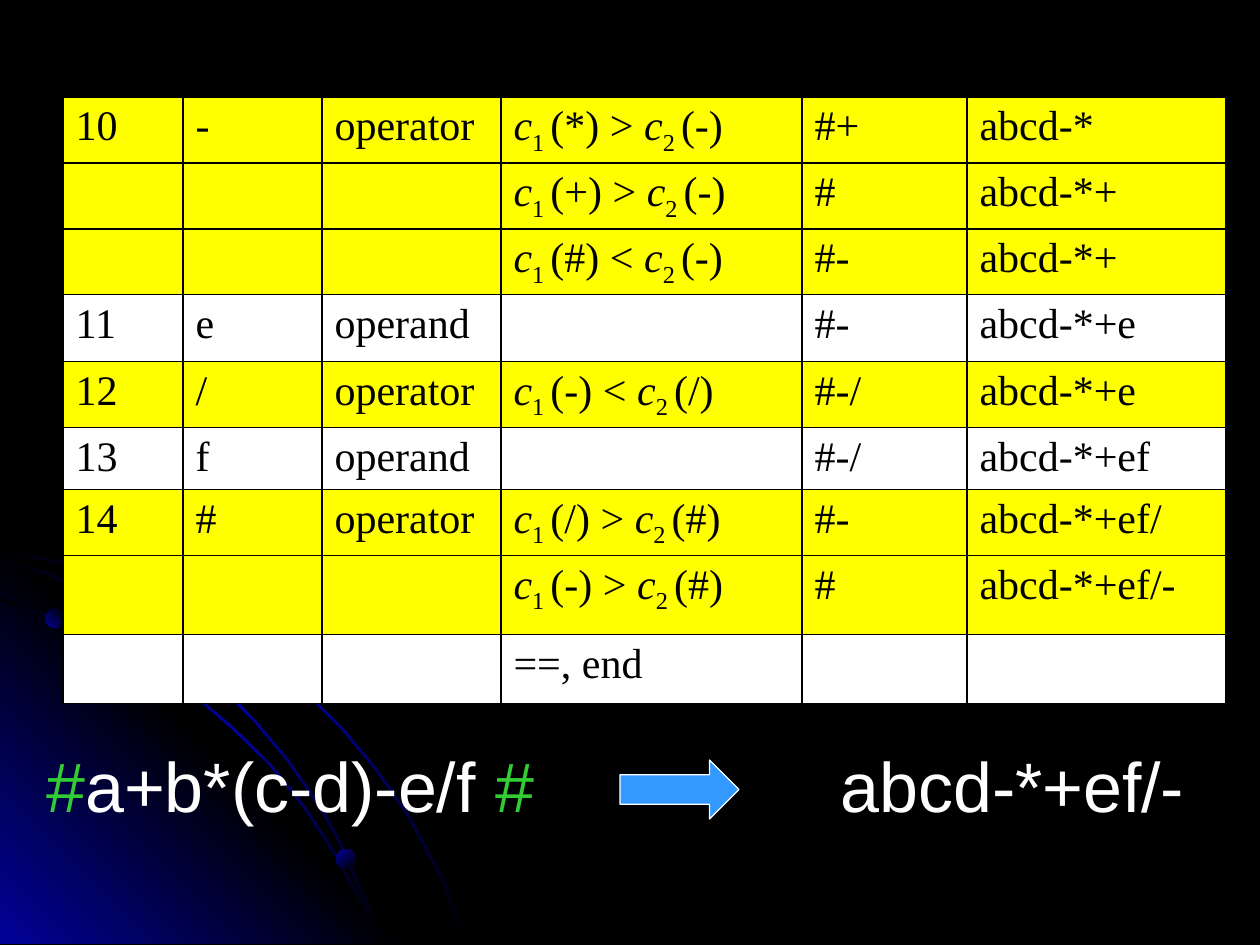
from dataclasses import dataclass

from lxml.etree import SubElement
from pptx import Presentation
from pptx.dml.color import RGBColor
from pptx.enum.shapes import MSO_SHAPE as Shape
from pptx.oxml import parse_xml
from pptx.oxml.ns import nsdecls, qn
from pptx.util import Pt

SCALE = 914400 / 126


@dataclass(frozen=True)
class Theme:
    black: str = "000000"
    white: str = "FFFFFF"
    glow: str = "010199"
    operator: str = "FFFF00"
    marker: str = "33CC33"
    arrow: str = "3399FF"
    table_font: str = "Times New Roman"
    body_font: str = "Arial"
    table_size: int = 24
    body_size: int = 40


THEME = Theme()

# Outer edges of the three light bands, from the left side to the bottom
BANDS = [
    [(0, 548), (35, 556), (72, 563), (123, 578), (171, 601), (219, 626),
     (263, 656), (305, 690), (343, 728), (378, 770), (410, 816), (427, 848),
     (444, 879), (456, 911), (469, 944)],
    [(0, 598), (52, 615), (100, 636), (147, 663), (192, 692), (232, 726),
     (271, 764), (305, 806), (335, 852), (360, 897), (373, 920), (382, 944)],
    [(0, 557), (49, 573), (96, 596), (140, 621), (181, 650), (220, 684),
     (257, 722), (289, 760), (320, 805), (339, 838), (355, 873), (370, 907),
     (382, 944)],
]
# Left, top, diameter, gradient angle
DOTS = [(45, 609, 19, 315), (336, 849, 20, 45)]

COLUMNS = [120, 139, 179, 301, 165, 259]
ROW_HEIGHTS = [66, 66, 65, 67, 66, 62, 66, 79, 69]
# Step, symbol, kind, comparison (c1, sign, c2), stack, output
STEPS = [
    ("10", "-", "operator", ("*", ">", "-"), "#+", "abcd-*"),
    ("", "", "", ("+", ">", "-"), "#", "abcd-*+"),
    ("", "", "", ("#", "<", "-"), "#-", "abcd-*+"),
    ("11", "e", "operand", "", "#-", "abcd-*+e"),
    ("12", "/", "operator", ("-", "<", "/"), "#-/", "abcd-*+e"),
    ("13", "f", "operand", "", "#-/", "abcd-*+ef"),
    ("14", "#", "operator", ("/", ">", "#"), "#-", "abcd-*+ef/"),
    ("", "", "", ("-", ">", "#"), "#", "abcd-*+ef/-"),
    ("", "", "", "==, end", "", ""),
]


def px(length):
    return round(length * SCALE)


def rgb(colour):
    return RGBColor.from_string(colour)


def style(font, name, size, colour):
    font.name, font.size = name, Pt(size)
    font.color.rgb = rgb(colour)


def glow_fill(shape, colours, angle):
    """Fill with evenly spaced gradient colours, without line or shadow."""
    shape.shadow.inherit = False
    shape.line.fill.background()
    shape.fill.background()
    stops = "".join(
        f'<a:gs pos="{100000 * i // (len(colours) - 1)}"><a:srgbClr val="{c}"/></a:gs>'
        for i, c in enumerate(colours))
    gradient = parse_xml(
        f'<a:gradFill {nsdecls("a")} rotWithShape="1"><a:gsLst>{stops}</a:gsLst>'
        f'<a:lin ang="{angle * 60000}" scaled="0"/></a:gradFill>')
    properties = shape.element.spPr
    properties.replace(properties.find(qn("a:noFill")), gradient)


def add_outline(slide, box, points):
    left, top = box[:2]
    moved = [(left + x, top + y) for x, y in points]
    builder = slide.shapes.build_freeform(*moved[0], scale=SCALE)
    builder.add_line_segments(moved[1:], close=True)
    return builder.convert_to_shape()


def band_outline(edge):
    """Close a band: its inner edge moves from below to left of the outer."""
    last = len(edge) - 1
    inner = [(x - 3 * i / last, y + 3 * (1 - i / last))
             for i, (x, y) in enumerate(edge)]
    return edge + inner[::-1]


def add_backdrop(slide, box):
    left, top, _, height = box
    dark, glow = THEME.black, THEME.glow
    # Corner glow, lying between the first and second bands
    corner = [(406, height - 1), (0, height - 1), (0, 538)]
    outlines = [(band_outline(edge), (dark, glow, dark), 45) for edge in BANDS]
    outlines.insert(1, (corner, (glow, dark, glow), 315))
    for points, colours, angle in outlines:
        glow_fill(add_outline(slide, box, points), colours, angle)
    # Dots on the bands
    for x, y, size, angle in DOTS:
        dot = slide.shapes.add_shape(
            Shape.OVAL, px(left + x), px(top + y), px(size), px(size))
        glow_fill(dot, (glow, dark), angle)


def write_comparison(paragraph, comparison):
    first, sign, second = comparison
    for index, rest in (("1 ", f"({first}) {sign} "), ("2 ", f"({second})")):
        letter, subscript, value = (paragraph.add_run() for _ in range(3))
        letter.text, subscript.text, value.text = "c", index, rest
        letter.font.italic = True
        subscript.font._element.set("baseline", "-25000")


def add_borders(cell):
    properties = cell._tc.get_or_add_tcPr()
    for i, side in enumerate(("lnL", "lnR", "lnT", "lnB")):
        border = parse_xml(
            f'<a:{side} {nsdecls("a")} w="12700"><a:solidFill>'
            f'<a:srgbClr val="{THEME.black}"/></a:solidFill></a:{side}>')
        properties.insert(i, border)


def add_steps_table(slide, box):
    table = slide.shapes.add_table(
        len(STEPS), len(COLUMNS), *map(px, box)).table
    table.first_row = table.horz_banding = False
    for column, width in zip(table.columns, COLUMNS):
        column.width = px(width)
    for r, (step, height) in enumerate(zip(STEPS, ROW_HEIGHTS)):
        table.rows[r].height = px(height)
        compares = isinstance(step[3], tuple)
        for c, content in enumerate(step):
            cell = table.cell(r, c)
            cell.fill.solid()
            cell.fill.fore_color.rgb = rgb(
                THEME.operator if compares else THEME.white)
            add_borders(cell)
            paragraph = cell.text_frame.paragraphs[0]
            if isinstance(content, tuple):
                write_comparison(paragraph, content)
            else:
                paragraph.text = content
            style(paragraph.font, THEME.table_font, THEME.table_size, THEME.black)
            for run in paragraph.runs:
                style(run.font, THEME.table_font, THEME.table_size, THEME.black)


def add_conversion(slide, box):
    left, top, _, _ = box
    # Infix expression, then its postfix form at a tab stop
    frame = slide.shapes.add_textbox(*map(px, box)).text_frame
    frame.word_wrap = True
    frame.margin_top = px(12)
    paragraph = frame.paragraphs[0]
    tabs = SubElement(paragraph._p.get_or_add_pPr(), qn("a:tabLst"))
    SubElement(tabs, qn("a:tab"), pos=str(px(794)), algn="l")
    for words, colour in (("#", THEME.marker), ("a+b*(c-d)-e/f ", THEME.white),
                          ("#\t", THEME.marker), ("abcd-*+ef/-", THEME.white)):
        run = paragraph.add_run()
        run.text = words
        style(run.font, THEME.body_font, THEME.body_size, colour)
    # Arrow between the two forms
    arrow = slide.shapes.add_shape(
        Shape.RIGHT_ARROW, px(left + 586), px(top + 29), px(119), px(59))
    arrow.shadow.inherit = False
    arrow.fill.solid()
    arrow.fill.fore_color.rgb = rgb(THEME.arrow)
    arrow.line.color.rgb = rgb(THEME.white)
    arrow.line.width = Pt(0.75)


def main():
    deck = Presentation()
    deck.slide_width, deck.slide_height = px(1260), px(945)
    slide = deck.slides.add_slide(deck.slide_layouts[6])
    slide.background.fill.solid()
    slide.background.fill.fore_color.rgb = rgb(THEME.black)
    add_backdrop(slide, (0, 0, 1260, 945))
    add_steps_table(slide, (63, 97, sum(COLUMNS), sum(ROW_HEIGHTS)))
    add_conversion(slide, (34, 731, 1197, 129))
    deck.save("out.pptx")


if __name__ == "__main__":
    main()
